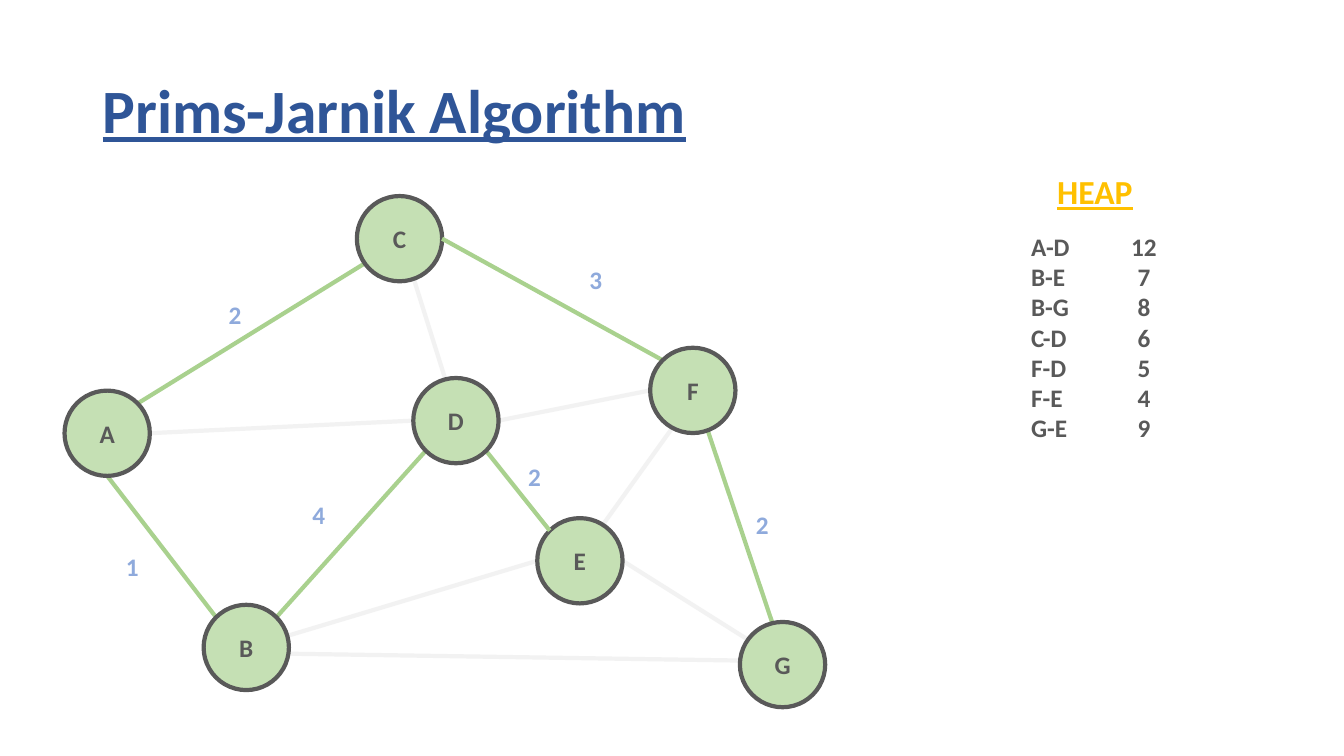
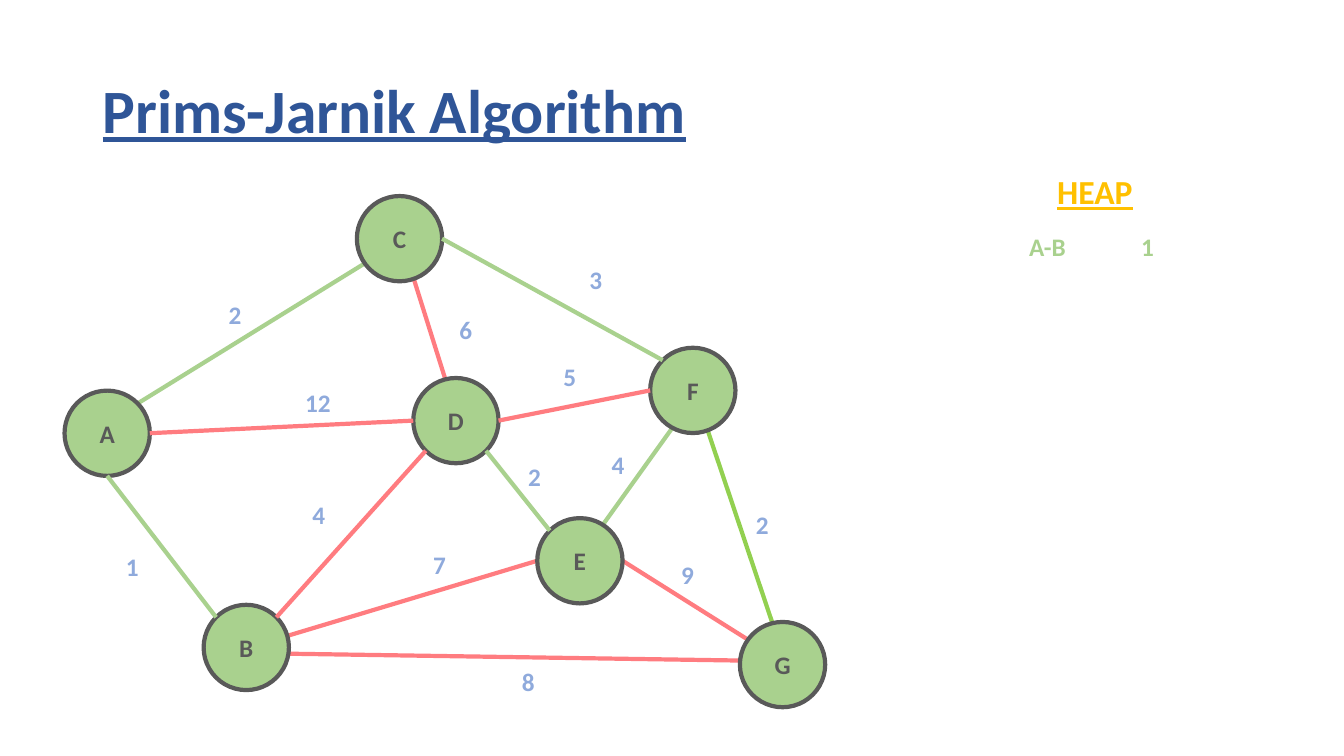
from math import cos, radians, sin

from lxml.etree import SubElement
from pptx import Presentation
from pptx.dml.color import RGBColor
from pptx.enum.shapes import MSO_CONNECTOR, MSO_SHAPE
from pptx.enum.text import MSO_ANCHOR, MSO_AUTO_SIZE, PP_ALIGN
from pptx.oxml.ns import qn
from pptx.util import Inches, Pt

CELLS_PER_INCH = 10
GRID_COLS, GRID_ROWS = 133.33, 75
NODE = 8.46
LABEL = (3.4, 4)

NAVY, BLUE, GOLD, GRAY = "2F5597", "8FAADC", "FFC000", "595959"
GREEN, PALE_GREEN, LIME, RED, FAINT = "A9D18E", "C5E0B4", "92D050", "FF7C80", "F2F2F2"

BODY = {"name": "Calibri", "size": Pt(18), "bold": True}
HEADING = BODY | {"size": Pt(24), "underline": True}
TITLE = HEADING | {"size": Pt(44)}

NODES = {
    "A": (6.4, 38.75), "B": (20.2, 60), "C": (35.4, 19.45), "D": (41, 37.5),
    "E": (53.3, 51.4), "F": (64.5, 34.5), "G": (73.4, 61.7),
}
ANGLES = {"E": 0, "SE": 45, "S": 90, "SW": 135, "W": 180, "NW": 225, "N": 270, "NE": 315}

BACK_EDGES = {
    "GF": ((77.9, 65.6), (69.3, 40)),
    "GE": ((77.6, 65.6), "E"),
    "EF": ((57.7, 55), (68.6, 39.8)),
    "AC": ((13.7, 40), (39.8, 23.9)),
    "DC": ((45.4, 41.5), (39.8, 23.7)),
    "BE": ((24.8, 64.2), "W"),
    "BG": ((25.2, 64.8), (77.9, 65.6)),
}
FRONT_EDGES = {
    "AD": ("E", "W"), "AB": ("S", "NW"), "ED": ("NW", "SE"),
    "BD": ("NE", "SW"), "FD": ("W", "E"), "FC": ("NW", "E"),
}
WEIGHTS = {
    "AC": ("2", 21.7, 29.2), "AD": ("12", 29.3, 37.9), "BD": ("4", 30, 49),
    "BE": ("7", 42, 54), "AB": ("1", 11.5, 54.2), "BG": ("8", 50.8, 65.6),
    "GE": ("9", 66.6, 55), "ED": ("2", 51.4, 45.3), "FC": ("3", 57.5, 25.7),
    "GF": ("2", 74, 50), "EF": ("4", 59.7, 44.1), "FD": ("5", 54.9, 35.4),
    "DC": ("6", 44.6, 30.7),
}

SLIDES = [
    {
        "tree": {"AB", "AC", "FC", "GF", "ED", "BD"}, "special": {},
        "rest_line": FAINT, "weighted": {"AB", "AC", "FC", "GF", "ED", "BD"},
        "node_fill": PALE_GREEN, "under": "CEG", "over": "DABF",
        "heap_left": 101.3, "heap_tab": 11.2, "heap_color": GRAY,
        "heap": ["A-D\t12", "B-E\t7", "B-G\t8", "C-D\t6", "F-D\t5", "F-E\t4", "G-E\t9"],
    },
    {
        "tree": {"AB", "AC", "FC", "ED", "EF"}, "special": {"GF": LIME},
        "rest_line": RED, "weighted": set(WEIGHTS),
        "node_fill": GREEN, "under": "ACBDEFG", "over": "",
        "heap_left": 101.1, "heap_tab": 11.75, "heap_color": GREEN,
        "heap": ["A-B\t1"],
    },
]


def grid(*cells):
    return [Inches(cell / CELLS_PER_INCH) for cell in cells]


def rgb(value):
    return RGBColor.from_string(value)


def apply(target, values):
    for name, value in values.items():
        setattr(target, name, value)


def write(p, text, style, color):
    r = p.add_run()
    r.text = text
    apply(r.font, style)
    r.font.color.rgb = rgb(color)


def add_title(s, text):
    sp = s.shapes.title
    left, top, width, height = grid(9.17, 4, 115, 14.5)
    apply(sp, {"left": left, "top": top, "width": width, "height": height})
    tf = sp.text_frame
    apply(tf, {"vertical_anchor": MSO_ANCHOR.MIDDLE, "word_wrap": True,
               "auto_size": MSO_AUTO_SIZE.NONE})
    p = tf.paragraphs[0]
    apply(p, {"alignment": PP_ALIGN.LEFT, "line_spacing": 0.9})
    write(p, text, TITLE, NAVY)


def add_text(s, box, lines, style, color, wrap=False, tab=None):
    tf = s.shapes.add_textbox(*grid(*box)).text_frame
    apply(tf, {"word_wrap": wrap, "auto_size": MSO_AUTO_SIZE.SHAPE_TO_FIT_TEXT})
    for i, line in enumerate(lines):
        p = tf.add_paragraph() if i else tf.paragraphs[0]
        write(p, line, style, color)
        if tab:
            tabs = SubElement(p._p.get_or_add_pPr(), qn("a:tabLst"))
            SubElement(tabs, qn("a:tab"), pos=str(grid(tab)[0]), algn="ctr")


def add_node(s, name, fill):
    sp = s.shapes.add_shape(MSO_SHAPE.OVAL, *grid(*NODES[name], NODE, NODE))
    sp.shadow.inherit = False
    sp.fill.solid()
    sp.fill.fore_color.rgb = rgb(fill)
    sp.line.color.rgb = rgb(GRAY)
    sp.line.width = Pt(3)
    tf = sp.text_frame
    tf.vertical_anchor = MSO_ANCHOR.MIDDLE
    p = tf.paragraphs[0]
    p.alignment = PP_ALIGN.CENTER
    write(p, name, BODY, GRAY)


def end_point(node, end):
    if isinstance(end, tuple):
        return end
    angle, radius = radians(ANGLES[end]), NODE / 2
    x, y = NODES[node]
    return x + radius + radius * cos(angle), y + radius + radius * sin(angle)


def add_edges(s, edges, look):
    for edge, ends in edges.items():
        start, stop = (end_point(node, end) for node, end in zip(edge, ends))
        line = s.shapes.add_connector(MSO_CONNECTOR.STRAIGHT, *grid(*start, *stop))
        color = GREEN if edge in look["tree"] else look["rest_line"]
        line.line.color.rgb = rgb(look["special"].get(edge, color))
        line.line.width = Pt(3)
        SubElement(line._element.spPr, qn("a:effectLst"))


def add_weights(s, edges):
    for edge, (weight, x, y) in WEIGHTS.items():
        if edge in edges:
            width = LABEL[0] + 1.2 * (len(weight) - 1)
            add_text(s, (x, y, width, LABEL[1]), [weight], BODY, BLUE)


def add_heap(s, look):
    add_text(s, (103.9, 16.5, 9.6, 5), ["HEAP"], HEADING, GOLD)
    height = 1 + 3 * len(look["heap"])
    add_text(s, (look["heap_left"], 22.45, 14.8, height), look["heap"], BODY,
             look["heap_color"], wrap=True, tab=look["heap_tab"])


def add_graph_slide(prs, look):
    s = prs.slides.add_slide(prs.slide_layouts[5])
    add_edges(s, BACK_EDGES, look)
    add_title(s, "Prims-Jarnik Algorithm")
    for name in look["under"]:
        add_node(s, name, look["node_fill"])
    add_edges(s, FRONT_EDGES, look)
    add_weights(s, look["weighted"])
    add_heap(s, look)
    for name in look["over"]:
        add_node(s, name, look["node_fill"])


def main():
    prs = Presentation()
    prs.slide_width, prs.slide_height = grid(GRID_COLS, GRID_ROWS)
    for look in SLIDES:
        add_graph_slide(prs, look)
    prs.save("out.pptx")


main()
